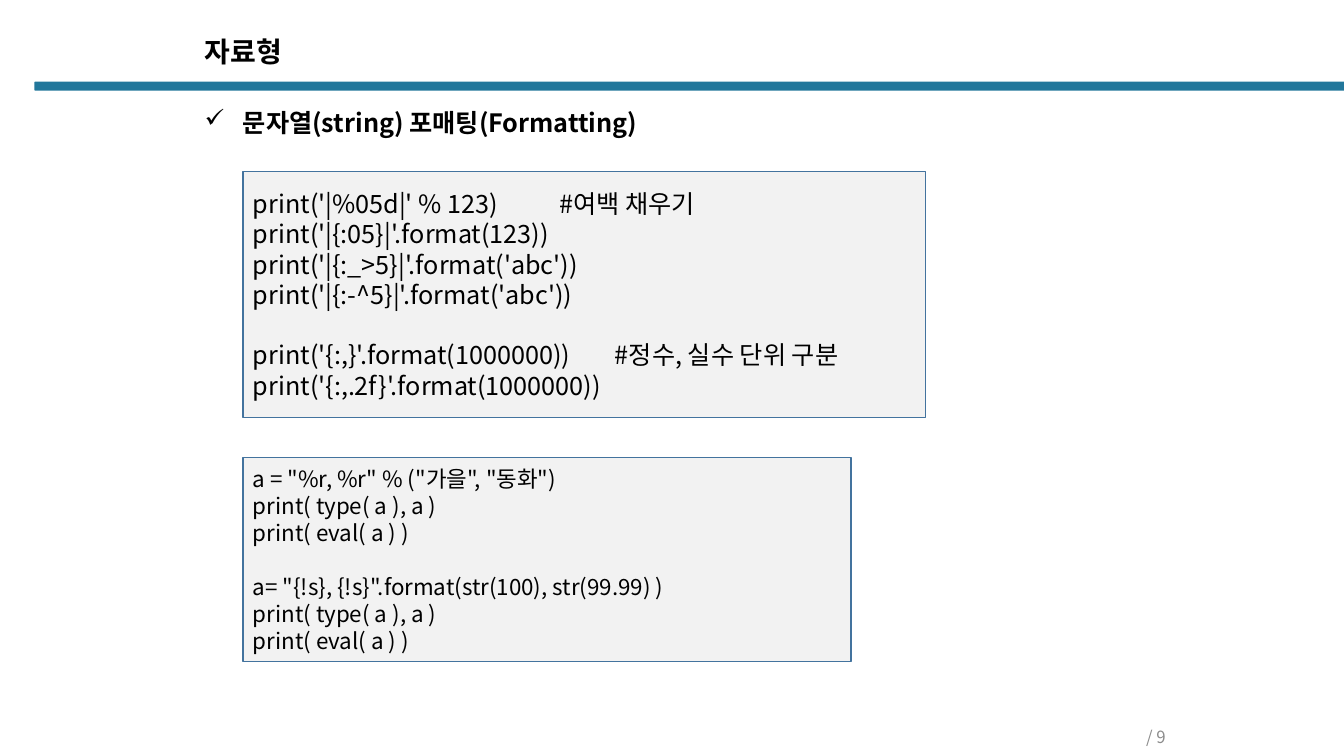
import pptx
import pptx.util
import pptx.dml.color
import pptx.enum.shapes
import pptx.enum.text
from lxml import etree

TITLE = "자료형"
HEADING = "문자열(string) 포매팅(Formatting)"
PAGE_NUMBER = "/ 9"

# Each listing holds groups of code lines; a group is set off by one empty line.
PADDING_CODE = [
    ["print('|%05d|' % 123)\t#여백 채우기",
     "print('|{:05}|'.format(123))",
     "print('|{:_>5}|'.format('abc'))",
     "print('|{:-^5}|'.format('abc'))"],
    ["print('{:,}'.format(1000000))\t#정수, 실수 단위 구분",
     "print('{:,.2f}'.format(1000000))"],
]
CONVERSION_CODE = [
    ['a = "%r, %r" % ("가을", "동화")',
     "print( type( a ), a )",
     "print( eval( a ) )"],
    ['a= "{!s}, {!s}".format(str(100), str(99.99) )',
     "print( type( a ), a )",
     "print( eval( a ) )"],
]
COMMENT_COLUMNS = [3.04, 3.59]

THEME = {
    "font": "Noto Sans CJK KR",
    "ink": "000000", "muted": "8C8C8C", "bar": "22779B",
    "panel": "F2F2F2", "outline": "43739E",
    "title": 20, "heading": 18, "code": 18, "small code": 16, "number": 12,
    "line pitch": 1.2,
}
WIDTH, HEIGHT = 13.33, 7.5
MARGIN = 1.93
INDENT = 0.38
CODE_LEFT = 2.41

ALIGN = pptx.enum.text.PP_ALIGN
ANCHOR = pptx.enum.text.MSO_ANCHOR
SHAPE = pptx.enum.shapes.MSO_SHAPE


def color(name):
    return pptx.dml.color.RGBColor.from_string(THEME[name])


def inches(*lengths):
    return [pptx.util.Inches(length) for length in lengths]


def add_properties_child(para, tag, **attributes):
    properties = para._p.get_or_add_pPr()
    namespace = properties.nsmap["a"]
    return etree.SubElement(properties, f"{{{namespace}}}{tag}", attributes)


def write(para, text, size, ink="ink", bold=False):
    span = para.add_run()
    span.text = text
    looks = {"name": THEME["font"], "size": pptx.util.Pt(THEME[size]), "bold": bold}
    for key, value in looks.items():
        setattr(span.font, key, value)
    span.font.color.rgb = color(ink)
    properties = span._r.get_or_add_rPr()
    etree.SubElement(properties, f"{{{properties.nsmap['a']}}}ea", typeface=THEME["font"])


def add_label(page, place, text, size, anchor=ANCHOR.TOP, **style):
    box = page.shapes.add_textbox(*inches(*place))
    box.text_frame.word_wrap = True
    box.text_frame.vertical_anchor = anchor
    para = box.text_frame.paragraphs[0]
    write(para, text, size, **style)
    return para


def add_panel(page, kind, place, fill, outline=None):
    panel = page.shapes.add_shape(kind, *inches(*place))
    panel.shadow.inherit = False
    panel.fill.solid()
    panel.fill.fore_color.rgb = color(fill)
    if outline:
        panel.line.color.rgb = color(outline)
        panel.line.width = pptx.util.Pt(1)
    else:
        panel.line.fill.background()
    return panel


def add_listing(page, place, groups, size):
    frame = add_panel(page, SHAPE.RECTANGLE, place, "panel", "outline").text_frame
    frame.word_wrap = True
    frame.vertical_anchor = ANCHOR.MIDDLE
    para = frame.paragraphs[0]
    for group_index, group in enumerate(groups):
        for line_index, line in enumerate(group):
            if group_index or line_index:
                para = frame.add_paragraph()
            para.alignment = ALIGN.LEFT
            if group_index and not line_index:
                para.space_before = pptx.util.Pt(THEME[size] * THEME["line pitch"])
            if "\t" in line:
                stops = add_properties_child(para, "tabLst")
                position = pptx.util.Inches(COMMENT_COLUMNS[group_index])
                etree.SubElement(stops, stops.tag.replace("tabLst", "tab"),
                                 pos=str(position), algn="l")
            write(para, line, size)


def main():
    deck = pptx.Presentation()
    deck.slide_width, deck.slide_height = inches(WIDTH, HEIGHT)
    page = deck.slides.add_slide(deck.slide_layouts[6])

    bar = add_panel(page, SHAPE.ROUNDED_RECTANGLE, (0.34, 0.81, 13.02, 0.09), "bar")
    bar.adjustments[0] = 0.13

    number = add_label(page, (9.33, 7.19, 2.33, 0.23), PAGE_NUMBER, "number",
                       ANCHOR.MIDDLE, ink="muted")
    number.alignment = ALIGN.RIGHT

    heading = add_label(page, (MARGIN, 1.02, 9.18, 0.4), HEADING, "heading", bold=True)
    hang = pptx.util.Inches(INDENT)
    properties = heading._p.get_or_add_pPr()
    for key, value in {"marL": hang, "indent": -hang}.items():
        properties.set(key, str(value))
    add_properties_child(heading, "buChar", char="✓")

    title = add_label(page, (MARGIN, 0.33, 5.93, 0.47), TITLE, "title", bold=True)
    title.line_spacing = 0.9

    add_listing(page, (CODE_LEFT, 1.7, 6.77, 2.44), PADDING_CODE, "code")
    add_listing(page, (CODE_LEFT, 4.54, 6.03, 2.02), CONVERSION_CODE, "small code")

    deck.save("out.pptx")


if __name__ == "__main__":
    main()
